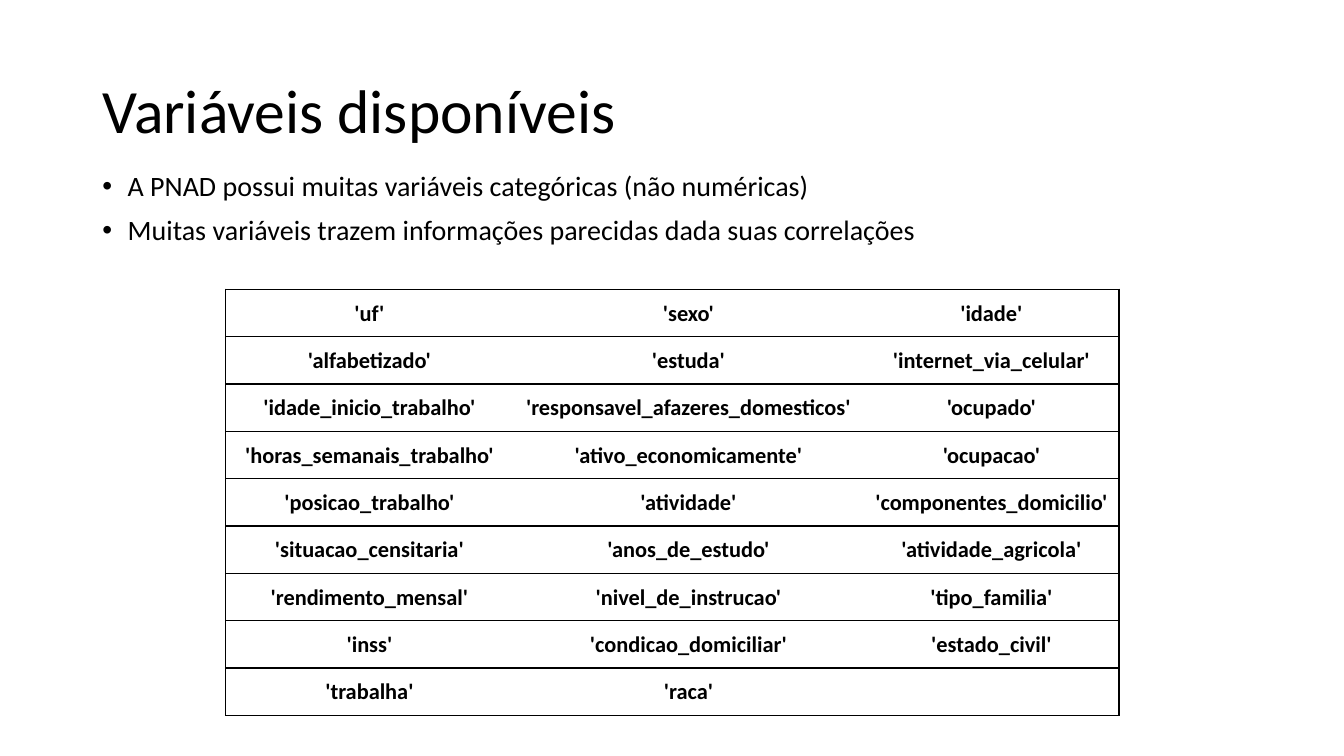
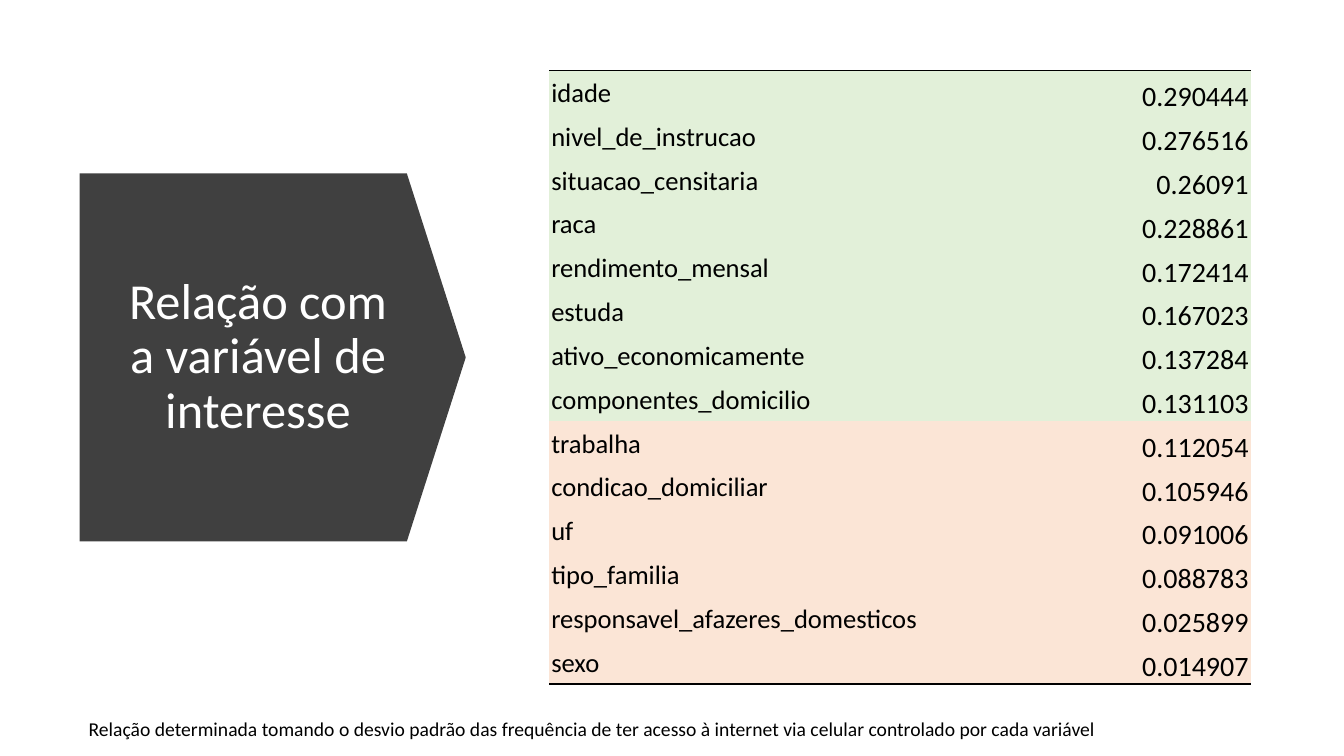
from lxml import etree
from pptx import Presentation
from pptx.dml.color import RGBColor
from pptx.enum import shapes, text
from pptx.oxml import ns
from pptx.util import Pt

FONT = "Calibri"
COLORS = {"text": "000000", "paper": "FFFFFF", "arrow": "404040",
          "strong": "E2F0D9", "weak": "FBE5D6"}
LEFT, CENTER, RIGHT = text.PP_ALIGN.LEFT, text.PP_ALIGN.CENTER, text.PP_ALIGN.RIGHT
TOP, MIDDLE, BOTTOM = text.MSO_ANCHOR.TOP, text.MSO_ANCHOR.MIDDLE, text.MSO_ANCHOR.BOTTOM
PLAIN_TABLE = "{2D5ABB26-0587-4C30-8999-92F81FD0307C}"

BULLETS = [
    "A PNAD possui muitas variáveis categóricas (não numéricas)",
    "Muitas variáveis trazem informações parecidas dada suas correlações",
]
VARIABLES = [
    ("'uf'", "'sexo'", "'idade'"),
    ("'alfabetizado'", "'estuda'", "'internet_via_celular'"),
    ("'idade_inicio_trabalho'", "'responsavel_afazeres_domesticos'", "'ocupado'"),
    ("'horas_semanais_trabalho'", "'ativo_economicamente'", "'ocupacao'"),
    ("'posicao_trabalho'", "'atividade'", "'componentes_domicilio'"),
    ("'situacao_censitaria'", "'anos_de_estudo'", "'atividade_agricola'"),
    ("'rendimento_mensal'", "'nivel_de_instrucao'", "'tipo_familia'"),
    ("'inss'", "'condicao_domiciliar'", "'estado_civil'"),
    ("'trabalha'", "'raca'", ""),
]
RELATIONS = [
    ("idade", "0.290444"),
    ("nivel_de_instrucao", "0.276516"),
    ("situacao_censitaria", "0.26091"),
    ("raca", "0.228861"),
    ("rendimento_mensal", "0.172414"),
    ("estuda", "0.167023"),
    ("ativo_economicamente", "0.137284"),
    ("componentes_domicilio", "0.131103"),
    ("trabalha", "0.112054"),
    ("condicao_domiciliar", "0.105946"),
    ("uf", "0.091006"),
    ("tipo_familia", "0.088783"),
    ("responsavel_afazeres_domesticos", "0.025899"),
    ("sexo", "0.014907"),
]
STRONG_COUNT = 8
FOOTNOTE = ("Relação determinada tomando o desvio padrão das frequência de ter acesso "
            "à internet via celular controlado por cada variável")


def rgb(name):
    return RGBColor.from_string(COLORS[name])


def write(tf, lines, size, color="text", bold=False, align=LEFT, spacing=None,
          before=0, indent=None):
    for i, line in enumerate(lines):
        p = tf.paragraphs[0] if i == 0 else tf.add_paragraph()
        p.alignment, p.line_spacing, p.space_before = align, spacing, Pt(before)
        if indent:
            pPr = p._p.get_or_add_pPr()
            pPr.set("marL", str(Pt(indent)))
            pPr.set("indent", str(-Pt(indent)))
        r = p.add_run()
        r.text = line
        r.font.name, r.font.size, r.font.bold = FONT, Pt(size), bold
        r.font.color.rgb = rgb(color)


def place(sp, left, top, width, height, anchor):
    sp.left, sp.top, sp.width, sp.height = Pt(left), Pt(top), Pt(width), Pt(height)
    tf = sp.text_frame
    tf.word_wrap, tf.auto_size = True, text.MSO_AUTO_SIZE.NONE
    tf.vertical_anchor = anchor
    return tf


def set_borders(cell, edges):
    """Rule the edges named by letters of LRTB and clear the others."""
    tcPr = cell._tc.get_or_add_tcPr()
    for edge in "LRTB":
        ln = etree.SubElement(tcPr, ns.qn(f"a:ln{edge}"), w=str(Pt(1)))
        if edge in edges:
            fill = etree.SubElement(ln, ns.qn("a:solidFill"))
            etree.SubElement(fill, ns.qn("a:srgbClr"), val=COLORS["text"])
        else:
            etree.SubElement(ln, ns.qn("a:noFill"))


def add_grid(s, rows, left, top, widths, row_height, inset, columns, edges, fill):
    """columns: (anchor, text format) pairs; edges and fill: functions of the cell."""
    frame = s.shapes.add_table(len(rows), len(widths), Pt(left), Pt(top),
                               Pt(sum(widths)), Pt(row_height * len(rows)))
    table = frame.table
    table.first_row = table.horz_banding = False
    table._tbl.tblPr.find(ns.qn("a:tableStyleId")).text = PLAIN_TABLE
    for column, width in zip(table.columns, widths):
        column.width = Pt(width)
    for i, row in enumerate(rows):
        table.rows[i].height = Pt(row_height)
        for j, value in enumerate(row):
            cell = table.cell(i, j)
            cell.margin_left = cell.margin_right = cell.margin_top = Pt(inset)
            cell.margin_bottom = 0
            anchor, style = columns[j]
            cell.vertical_anchor = anchor
            set_borders(cell, edges(i, j))
            cell.fill.solid()
            cell.fill.fore_color.rgb = rgb(fill(i))
            if value:
                write(cell.text_frame, [value], **style)


def build_variables(prs):
    s = prs.slides.add_slide(prs.slide_layouts[1])
    title, body = s.placeholders
    write(place(title, 66, 28.8, 828, 104.4, MIDDLE), ["Variáveis disponíveis"],
          44, spacing=0.9)
    write(place(body, 66, 119.5, 828, 342.7, TOP), BULLETS, 20, spacing=0.9,
          before=10, indent=18)
    last = len(VARIABLES[0]) - 1
    add_grid(s, VARIABLES, 161.3, 206.6, (205.2, 250.6, 182.2), 33.84, 0.7,
             [(MIDDLE, dict(size=16, bold=True, align=CENTER))] * 3,
             edges=lambda i, j: "TB" + "L" * (j == 0) + "R" * (j == last),
             fill=lambda i: "paper")


def build_relations(prs):
    s = prs.slides.add_slide(prs.slide_layouts[5])
    title = s.shapes.title
    arrow = s.shapes.add_shape(shapes.MSO_SHAPE.DOWN_ARROW, Pt(63.4), Pt(117.4),
                               Pt(262.8), Pt(275.8))
    arrow.rotation = 270
    arrow.adjustments[0], arrow.adjustments[1] = 1, 0.16
    arrow.shadow.inherit = False
    arrow.fill.solid()
    arrow.fill.fore_color.rgb = rgb("arrow")
    arrow.line.fill.background()
    title.element.addprevious(arrow.element)
    write(place(title, 80.6, 154.8, 207.4, 200.9, MIDDLE),
          ["Relação com a variável de interesse"], 36, color="paper",
          align=CENTER, spacing=0.9)
    last = len(RELATIONS) - 1
    add_grid(s, RELATIONS, 392.4, 50.4, (370, 131), 31.32, 1.4,
             [(MIDDLE, dict(size=19)), (BOTTOM, dict(size=20, align=RIGHT))],
             edges=lambda i, j: "T" * (i == 0) + "B" * (i == last),
             fill=lambda i: "strong" if i < STRONG_COUNT else "weak")
    note = s.shapes.add_textbox(0, 0, 0, 0)
    write(place(note, 56.2, 508.3, 921.6, 24.5, TOP), [FOOTNOTE], 14)


def main():
    prs = Presentation()
    prs.slide_width, prs.slide_height = Pt(960), Pt(540)
    build_variables(prs)
    build_relations(prs)
    prs.save("out.pptx")


if __name__ == "__main__":
    main()
